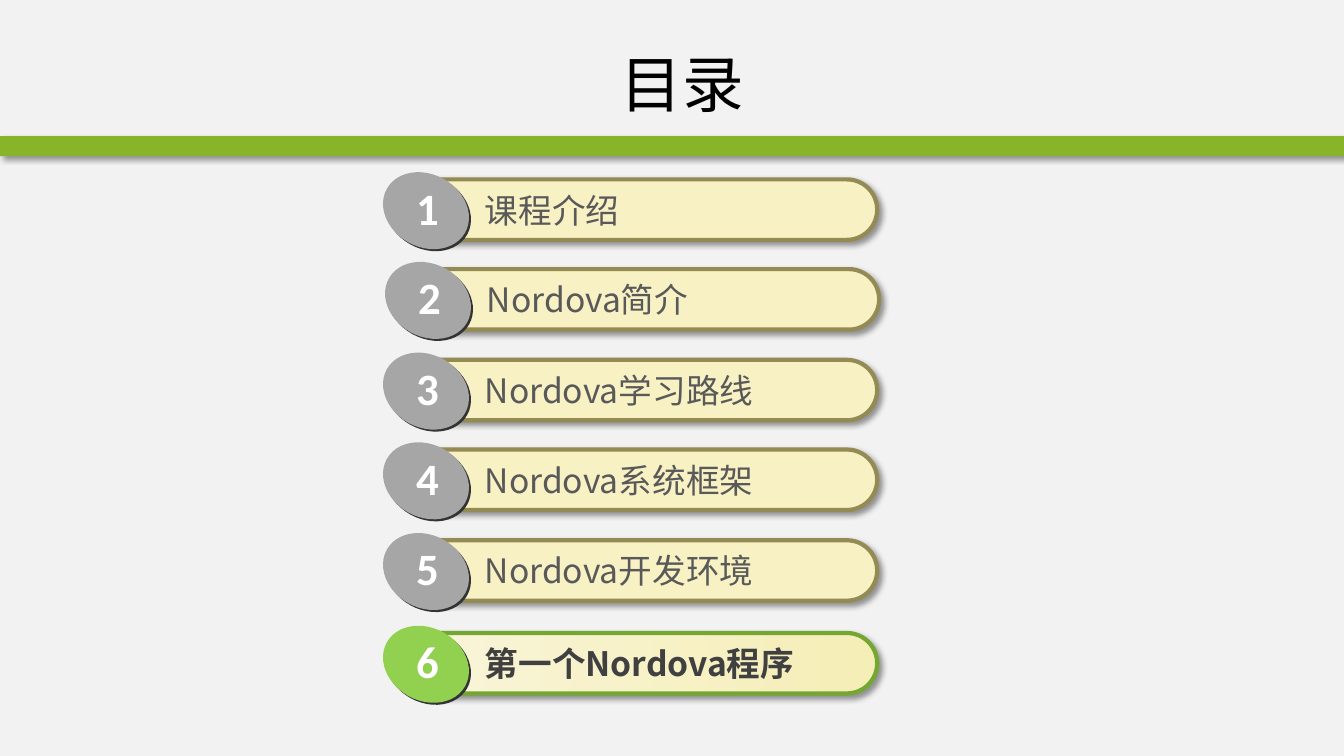
from dataclasses import dataclass

from lxml import etree
from pptx import Presentation
from pptx.dml.color import RGBColor
from pptx.enum.shapes import MSO_SHAPE
from pptx.enum.text import MSO_ANCHOR, MSO_AUTO_SIZE, PP_ALIGN
from pptx.oxml.ns import qn
from pptx.util import Emu, Pt

RECT, PILL, OVAL = MSO_SHAPE.RECTANGLE, MSO_SHAPE.ROUNDED_RECTANGLE, MSO_SHAPE.OVAL
CENTER, MIDDLE, TOP = PP_ALIGN.CENTER, MSO_ANCHOR.MIDDLE, MSO_ANCHOR.TOP
NO_FIT = MSO_AUTO_SIZE.NONE
PX = 9144  # 100 px to the inch


@dataclass(frozen=True)
class Theme:
    back: str = "F2F2F2"
    bar: str = "88B429"
    black: str = "000000"
    white: str = "FFFFFF"
    rim: str = "333333"
    han: str = "Noto Sans CJK SC"
    latin: str = "Calibri"
    head: int = 44
    body: int = 24
    num: int = 32
    edge: int = 3


@dataclass(frozen=True)
class Look:
    fill: tuple
    line: str
    ball: str
    ink: str
    bold: bool


T = Theme()
PLAIN = Look(("F7F1C4",), "948A54", "A6A6A6", "595959", False)
ACTIVE = Look(("F9F5D9", "F5EEB7"), "74A731", "92D050", "404040", True)

ITEMS = ["课程介绍", "Nordova简介", "Nordova学习路线",
         "Nordova系统框架", "Nordova开发环境", "第一个Nordova程序"]
CURRENT = 5         # highlighted row
NUDGE = {1: (2, 0), CURRENT: (0, 3)}  # small offsets of single rows


def rgb(code):
    return RGBColor.from_string(code)


def emu(*box):
    return [Emu(v * PX) for v in box]


def assign(obj, values):
    for key, value in values.items():
        setattr(obj, key, value)


def paint(fill, colors):
    if len(colors) == 1:
        fill.solid()
        fill.fore_color.rgb = rgb(colors[0])
        return
    fill.gradient()
    fill.gradient_angle = 0
    for stop, code in zip(fill.gradient_stops, colors):
        stop.color.rgb = rgb(code)


def shade(shape):
    effects = shape._element.spPr.find(qn("a:effectLst"))
    outer = etree.SubElement(effects, qn("a:outerShdw"), blurRad=str(Pt(4)),
                             dist=str(Pt(3)), dir="2700000", algn="tl",
                             rotWithShape="0")
    color = etree.SubElement(outer, qn("a:srgbClr"), val=T.black)
    etree.SubElement(color, qn("a:alpha"), val="40000")


def draw(parts, kind, box, colors, line=None):
    shape = parts.add_shape(kind, *emu(*box))
    shape.shadow.inherit = False
    paint(shape.fill, colors)
    if line:
        shape.line.color.rgb = rgb(line)
        shape.line.width = Pt(T.edge)
    else:
        shape.line.fill.background()
    return shape


def write(frame, text, face, size, ink, bold=False, wrap=True,
          align=None, anchor=TOP):
    assign(frame, {"word_wrap": wrap, "auto_size": NO_FIT,
                   "vertical_anchor": anchor})
    para = frame.paragraphs[0]
    para.alignment = align
    run = para.add_run()
    run.text = text
    assign(run.font, {"name": face, "size": Pt(size), "bold": bold})
    run.font.color.rgb = rgb(ink)
    latin = run.font._element.find(qn("a:latin"))
    latin.addnext(etree.Element(qn("a:ea"), typeface=face))


# Title and the green bar under it
def header(slide, left, top, width, height):
    title = slide.shapes.title
    places = emu(left + 139, top + 30, width - 257, height - 50)
    assign(title, dict(zip(("left", "top", "width", "height"), places)))
    write(title.text_frame, "目录", T.han, T.head, T.black,
          align=CENTER, anchor=MIDDLE)
    bar = draw(slide.shapes, RECT, (left, top + height - 20, width, 20), (T.bar,))
    shade(bar)


# One numbered row: pill, label, ball and number
def entry(slide, left, top, num, text, look):
    parts = slide.shapes.add_group_shape().shapes
    pill = draw(parts, PILL, (left + 21, top + 5, 471, 60), look.fill, look.line)
    pill.adjustments[0] = 0.5
    shade(pill)
    label = parts.add_textbox(*emu(left + 93, top + 10, 375, 51))
    write(label.text_frame, text, T.han, T.body, look.ink, look.bold)
    for shift, color in ((2, T.rim), (0, look.ball)):
        ball = draw(parts, OVAL, (left + shift, top + shift, 89, 72), (color,))
        ball.rotation = 29.3
    digit = parts.add_textbox(*emu(left + 25, top + 1, 43, 64))
    write(digit.text_frame, str(num), T.latin, T.num, T.white, True,
          wrap=False)


# The list of rows, spread evenly over the box
def agenda(slide, left, top, height):
    for i, text in enumerate(ITEMS):
        dx, dy = NUDGE.get(i, (0, 0))
        look = ACTIVE if i == CURRENT else PLAIN
        entry(slide, left + dx, top + height * i // len(ITEMS) + dy,
              i + 1, text, look)


def main():
    deck = Presentation()
    deck.slide_width, deck.slide_height = emu(1333, 750)
    slide = deck.slides.add_slide(deck.slide_layouts[5])
    paint(slide.background.fill, (T.back,))
    header(slide, 0, 0, 1333, 155)
    agenda(slide, 378, 173, 537)
    deck.save("out.pptx")


if __name__ == "__main__":
    main()
